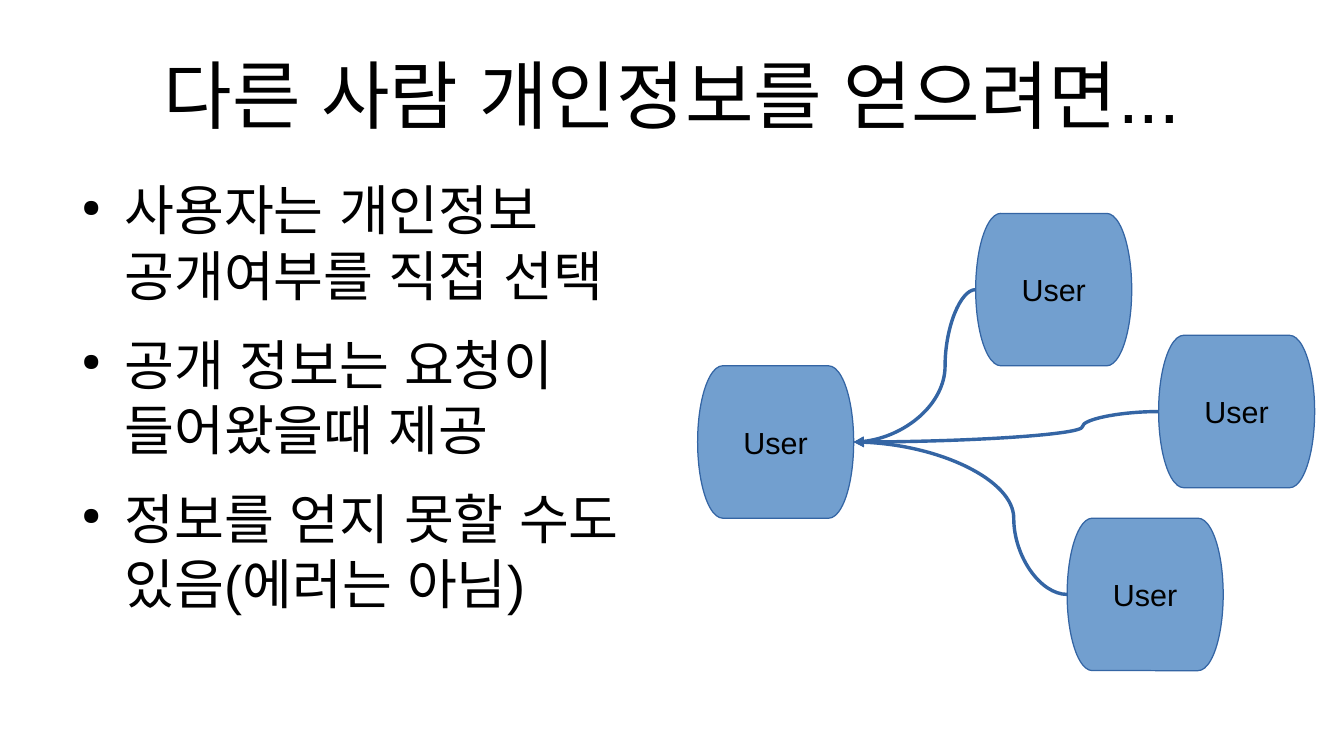
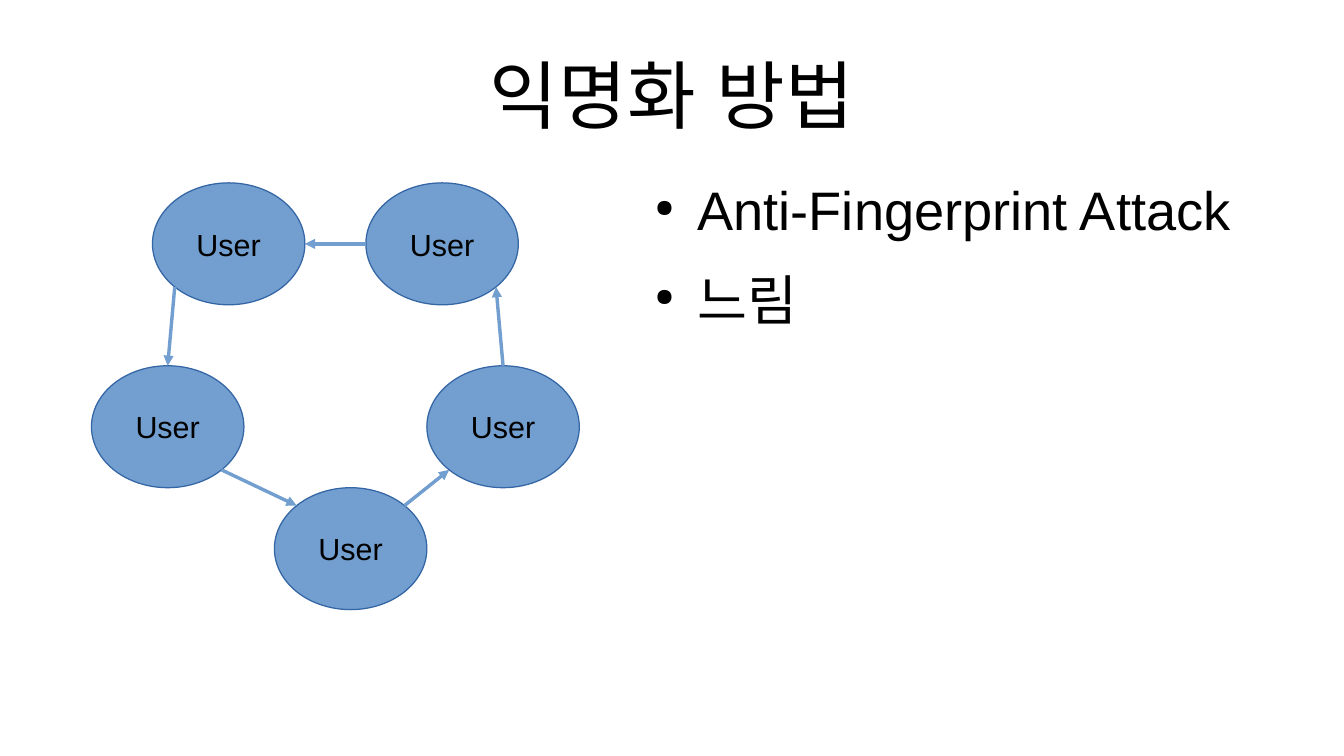
"""Build two slides on sharing and anonymising personal data between users."""
import math

from lxml import etree
from pptx import Presentation
from pptx import util as u
from pptx.dml.color import RGBColor
from pptx.enum import lang, shapes, text
from pptx.oxml.ns import qn

COLOURS = {"node": "729FCF", "edge": "3465A4", "ink": "000000"}
FONT = "Arial"
TITLE_BOX = (0.55, 0.25, 9.92, 1.04)
CAPSULE = (1.28, 1.25)
ELLIPSE = (1.25, 1)


def rgb(name):
    """Return the named colour."""
    return RGBColor.from_string(COLOURS[name])


def inches(*lengths):
    """Return the lengths in slide units."""
    return [u.Inches(length) for length in lengths]


def style_runs(paragraph, size):
    """Give the runs of a paragraph the shared font."""
    for run in paragraph.runs:
        run.font.name = FONT
        run.font.size = u.Pt(size)
        run.font.color.rgb = rgb("ink")
        run.font.language_id = lang.MSO_LANGUAGE_ID.KOREAN


def clear_margins(frame):
    """Wrap the text and remove its insets."""
    frame.word_wrap = True
    frame.margin_left = frame.margin_right = 0
    frame.margin_top = frame.margin_bottom = 0


def add_titled_slide(deck, heading):
    """Add a title-only slide with the shared title style."""
    slide = deck.slides.add_slide(deck.slide_layouts[5])
    title = slide.shapes.title
    title.left, title.top, title.width, title.height = inches(*TITLE_BOX)
    frame = title.text_frame
    frame.text = heading
    clear_margins(frame)
    frame.vertical_anchor = text.MSO_ANCHOR.MIDDLE
    frame.paragraphs[0].alignment = text.PP_ALIGN.CENTER
    style_runs(frame.paragraphs[0], 44)
    return slide


def add_bullets(slide, box, points):
    """Add a bulleted list with hanging indents."""
    frame = slide.shapes.add_textbox(*inches(*box)).text_frame
    clear_margins(frame)
    frame.text = "\n".join(points)
    for paragraph in frame.paragraphs:
        paragraph.space_before = u.Pt(14.2)
        style_runs(paragraph, 32)
        props = paragraph._p.get_or_add_pPr()
        props.set("marL", str(u.Inches(0.47)))
        props.set("indent", str(u.Inches(-0.35)))
        colour = etree.SubElement(props, qn("a:buClr"))
        etree.SubElement(colour, qn("a:srgbClr"), val=COLOURS["ink"])
        etree.SubElement(props, qn("a:buSzPct"), val="45000")
        etree.SubElement(props, qn("a:buChar"), char="●")


def add_user(slide, kind, corner, size):
    """Add one user node."""
    user = slide.shapes.add_shape(kind, *inches(*corner, *size))
    user.shadow.inherit = False
    user.fill.solid()
    user.fill.fore_color.rgb = rgb("node")
    user.line.color.rgb = rgb("edge")
    user.line.width = 0
    frame = user.text_frame
    frame.text = "User"
    frame.vertical_anchor = text.MSO_ANCHOR.MIDDLE
    frame.paragraphs[0].alignment = text.PP_ALIGN.CENTER
    style_runs(frame.paragraphs[0], 18)


def add_arrow(slide, kind, start, end, colour):
    """Add a hairline connector with an arrowhead at its end."""
    arrow = slide.shapes.add_connector(kind, *inches(*start, *end))
    arrow.line.color.rgb = rgb(colour)
    arrow.line.width = 0
    etree.SubElement(arrow.line._get_or_add_ln(), qn("a:tailEnd"), type="triangle")
    etree.SubElement(arrow._element.spPr, qn("a:effectLst"))
    return arrow


def add_curve(slide, start, end):
    """Add a curved arrow that bends a quarter of the way along."""
    curve = add_arrow(slide, shapes.MSO_CONNECTOR.CURVE, start, end, "edge")
    guides = curve._element.spPr.find(qn("a:prstGeom")).get_or_add_avLst()
    etree.SubElement(guides, qn("a:gd"), name="adj1", fmla="val 25000")


def rim_point(corner, angle):
    """Return the point of an ellipse at an angle, clockwise from the right."""
    turn = math.radians(angle)
    return (corner[0] + ELLIPSE[0] / 2 * (1 + math.cos(turn)),
            corner[1] + ELLIPSE[1] / 2 * (1 + math.sin(turn)))


def add_request_diagram(slide):
    """Draw three users who send requests to one user."""
    receiver = (5.72, 3)
    senders = [(8, 1.75), (9.5, 2.75), (8.75, 4.25)]
    for corner in senders + [receiver]:
        add_user(slide, shapes.MSO_SHAPE.FLOWCHART_TERMINATOR, corner, CAPSULE)
    middle = CAPSULE[1] / 2
    target = (receiver[0] + CAPSULE[0], receiver[1] + middle)
    for left, top in senders:
        add_curve(slide, (left, top + middle), target)


def add_relay_ring(slide):
    """Draw five users who pass messages around a ring."""
    ring = [(2.25, 4), (3.5, 3), (3, 1.5), (1.25, 1.5), (0.75, 3)]
    angles = [(-45, 135), (-90, 45), (180, 0), (135, -90), (45, -135)]
    for corner in ring:
        add_user(slide, shapes.MSO_SHAPE.OVAL, corner, ELLIPSE)
    for sender, receiver, (leave, reach) in zip(ring, ring[1:] + ring[:1], angles):
        add_arrow(slide, shapes.MSO_CONNECTOR.STRAIGHT,
                  rim_point(sender, leave), rim_point(receiver, reach), "node")


def main():
    """Build and save the deck."""
    deck = Presentation()
    deck.slide_width, deck.slide_height = inches(11.02, 6.2)

    requests = add_titled_slide(deck, "다른 사람 개인정보를 얻으려면...")
    add_request_diagram(requests)
    add_bullets(requests, (0.55, 1.45, 4.84, 4.3), [
        "사용자는 개인정보 공개여부를 직접 선택",
        "공개 정보는 요청이 들어왔을때 제공",
        "정보를 얻지 못할 수도 있음(에러는 아님)",
    ])

    anonymity = add_titled_slide(deck, "익명화 방법")
    add_relay_ring(anonymity)
    add_bullets(anonymity, (5.25, 1.45, 5.23, 3.6), ["Anti-Fingerprint Attack", "느림"])

    deck.save("out.pptx")


if __name__ == "__main__":
    main()
